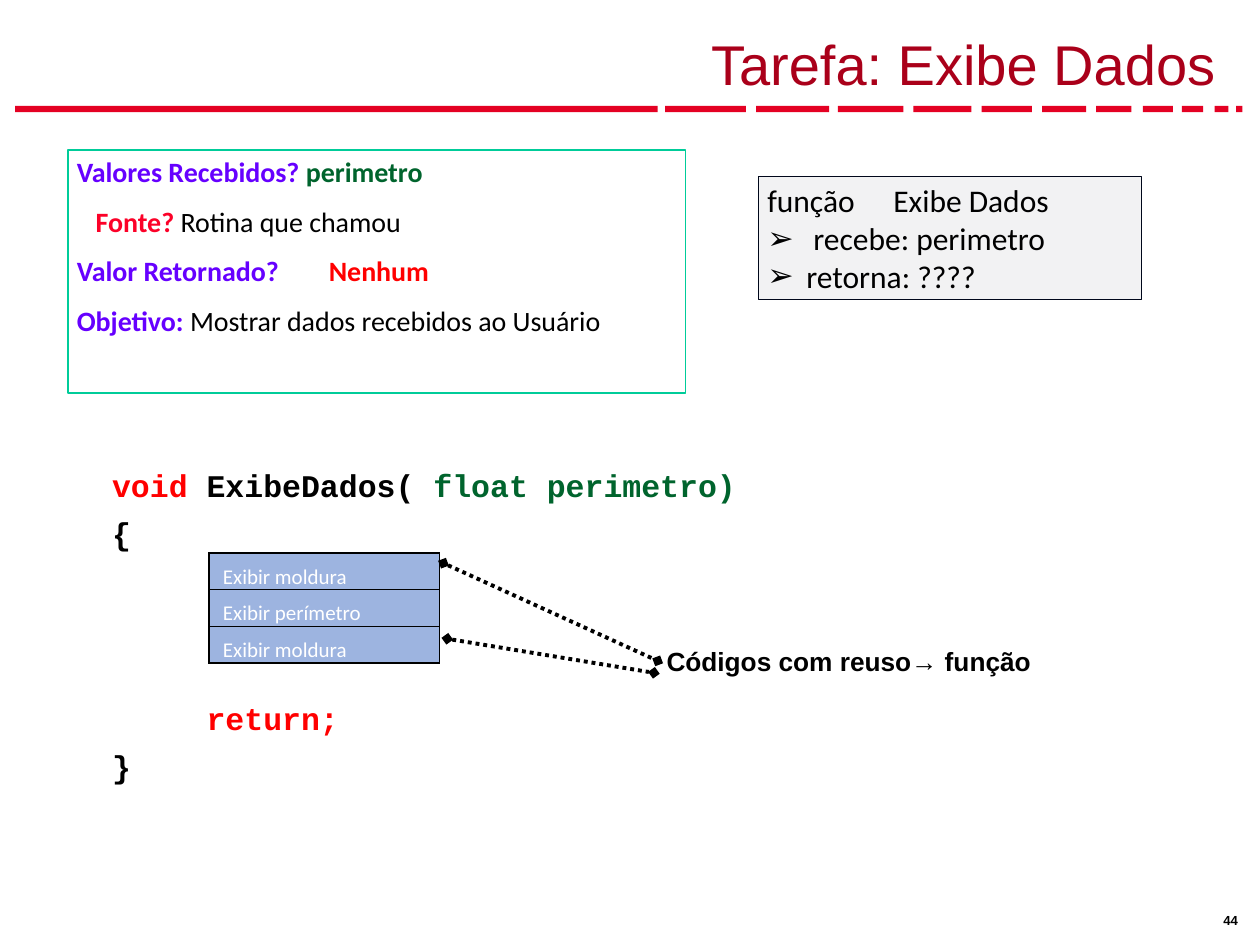
import pptx
import pptx.dml.color
import pptx.enum.dml
import pptx.enum.shapes
import pptx.enum.text
import pptx.oxml
import pptx.oxml.ns
import pptx.util
from lxml import etree
from pptx.util import Inches

BLACK, RED, GREEN, VIOLET = "000000", "FF0000", "00642D", "6600FF"


def color(hex_string):
    return pptx.dml.color.RGBColor.from_string(hex_string)


def write_text(frame, font, size, paragraphs, margin=0.08):
    """Each paragraph is (runs, options); each run is (text, colour, bold)."""
    frame.word_wrap = True
    frame.margin_left = frame.margin_right = Inches(margin)
    frame.margin_top = frame.margin_bottom = Inches(0.04)
    for index, (runs, options) in enumerate(paragraphs):
        paragraph = frame.add_paragraph() if index else frame.paragraphs[0]
        properties = paragraph._p.get_or_add_pPr()
        properties.set("marL", str(Inches(options.get("indent", 0))))
        properties.set("indent", str(Inches(-options.get("hanging", 0))))
        if "bullet" in options:
            bullet_color = etree.SubElement(properties, pptx.oxml.ns.qn("a:buClr"))
            etree.SubElement(bullet_color, pptx.oxml.ns.qn("a:srgbClr"), val=BLACK)
            etree.SubElement(properties, pptx.oxml.ns.qn("a:buFont"), typeface="Arial")
            etree.SubElement(properties, pptx.oxml.ns.qn("a:buChar"), char=options["bullet"])
        if "tab" in options:
            tabs = etree.SubElement(properties, pptx.oxml.ns.qn("a:tabLst"))
            etree.SubElement(tabs, pptx.oxml.ns.qn("a:tab"),
                             pos=str(Inches(options["tab"])), algn="l")
        paragraph.alignment = options.get("align", pptx.enum.text.PP_ALIGN.LEFT)
        if "before" in options:
            paragraph.space_before = pptx.util.Pt(options["before"])
        for text, hex_string, bold in runs:
            run = paragraph.add_run()
            run.text = text
            run.font.name = font
            run.font.size = pptx.util.Pt(size)
            run.font.bold = bold
            run.font.color.rgb = color(hex_string)


presentation = pptx.Presentation()
presentation.slide_width = Inches(10)
presentation.slide_height = Inches(7.5)
slide = presentation.slides.add_slide(presentation.slide_layouts[6])
shapes = slide.shapes

# Red rule broken into shrinking dashes
dashes = [(0.12, 5.1), (5.28, 0.64), (6, 0.58), (6.65, 0.52), (7.25, 0.46), (7.79, 0.4),
          (8.27, 0.35), (8.7, 0.28), (9.07, 0.24), (9.38, 0.17), (9.64, 0.11), (9.81, 0.05)]
for left, width in dashes:
    dash = shapes.add_shape(pptx.enum.shapes.MSO_SHAPE.RECTANGLE, Inches(left), Inches(0.84),
                            Inches(width), Inches(0.05))
    dash.shadow.inherit = False
    dash.fill.solid()
    dash.fill.fore_color.rgb = color("E40123")
    dash.line.fill.background()

# Slide number
number = shapes.add_textbox(Inches(9.63), Inches(7.2), Inches(0.33), Inches(0.2))
write_text(number.text_frame, "Arial", 7.5, [([("44", BLACK, True)], {})])

# Title
title = shapes.add_textbox(Inches(0.31), Inches(0.08), Inches(9.42), Inches(0.73))
title.text_frame.vertical_anchor = pptx.enum.text.MSO_ANCHOR.BOTTOM
write_text(title.text_frame, "Arial", 32, [
    ([("Tarefa: Exibe Dados", "AA001A", False)], {"align": pptx.enum.text.PP_ALIGN.RIGHT})])

# Code, with room for the table between the brace and the return
code = shapes.add_textbox(Inches(0.81), Inches(3.66), Inches(7.5), Inches(2.59))
write_text(code.text_frame, "Courier New", 18, [
    ([("void ", RED, True), ("ExibeDados( ", BLACK, True),
      ("float perimetro)", GREEN, True)], {}),
    ([("{", BLACK, True)], {"before": 5.8}),
    ([("return;", RED, True)], {"before": 84.2, "indent": 0.75}),
    ([("}", BLACK, True)], {"before": 5.8})])

# Table of steps
steps = ["Exibir moldura", "Exibir perímetro", "Exibir moldura"]
table_frame = shapes.add_table(len(steps), 2, Inches(1.66), Inches(4.39),
                               Inches(1.83), Inches(0.88))
table = table_frame.table
table.first_row = table.horz_banding = False
table.columns[0].width = Inches(0.87)
table.columns[1].width = Inches(0.96)
for row, step in enumerate(steps):
    table.rows[row].height = Inches(0.29)
    table.cell(row, 0).merge(table.cell(row, 1))
    write_text(table.cell(row, 0).text_frame, "Calibri", 12,
               [([(step, "FFFFFF", False)], {"indent": 0.11})])
    for column in range(2):
        cell = table.cell(row, column)
        cell.margin_left = cell.margin_right = cell.margin_bottom = 0
        cell.margin_top = Inches(0.09)
        cell_properties = cell._tc.get_or_add_tcPr()
        for side in ("lnL", "lnR", "lnT", "lnB"):
            cell_properties.append(pptx.oxml.parse_xml(
                f'<a:{side} {pptx.oxml.ns.nsdecls("a")} w="12700"><a:solidFill>'
                f'<a:srgbClr val="{BLACK}"/></a:solidFill></a:{side}>'))
        cell.fill.solid()
        cell.fill.fore_color.rgb = color("4471C4")
        fill_color = cell_properties.find("./" + pptx.oxml.ns.qn("a:solidFill") + "/*")
        etree.SubElement(fill_color, pptx.oxml.ns.qn("a:alpha"), val="52000")

# Framed panels: function summary and specification
bullet = {"bullet": "➢", "indent": 0.31, "hanging": 0.31}
panels = [
    ((6.02, 1.4, 3.04, 0.98), "00071A", 5, "00071A", 18, [
        ([("função\tExibe Dados", BLACK, False)], {"tab": 0.87}),
        ([(" recebe: perimetro", BLACK, False)], bullet),
        ([("retorna: ????", BLACK, False)], bullet)]),
    ((0.54, 1.19, 4.9, 1.93), "FFFFFF", 100, "00CC99", 16, [
        ([("Valores Recebidos? ", VIOLET, True), ("perimetro", GREEN, True)], {}),
        ([("Fonte?", "FC0128", True), (" Rotina que chamou", BLACK, False)],
         {"before": 9, "indent": 0.15}),
        ([("Valor Retornado?\t", VIOLET, True), ("Nenhum", RED, True)],
         {"before": 9, "tab": 1.71}),
        ([("Objetivo: ", VIOLET, True),
          ("Mostrar dados recebidos ao Usuário", BLACK, False)], {"before": 9})]),
]
for box, fill, opacity, outline, size, paragraphs in panels:
    panel = shapes.add_shape(pptx.enum.shapes.MSO_SHAPE.RECTANGLE, *map(Inches, box))
    panel.shadow.inherit = False
    panel.fill.solid()
    panel.fill.fore_color.rgb = color(fill)
    fill_color = panel._element.spPr.find("./" + pptx.oxml.ns.qn("a:solidFill") + "/*")
    etree.SubElement(fill_color, pptx.oxml.ns.qn("a:alpha"), val=str(opacity * 1000))
    panel.line.color.rgb = color(outline)
    panel.line.width = pptx.util.Pt(0.75)
    panel.text_frame.vertical_anchor = pptx.enum.text.MSO_ANCHOR.TOP
    write_text(panel.text_frame, "Calibri", size, paragraphs, margin=0.07)

# Reuse label
label = shapes.add_textbox(Inches(5.22), Inches(5.08), Inches(3.56), Inches(0.33))
write_text(label.text_frame, "Arial", 15,
           [([("Códigos com reuso→ função", BLACK, True)], {})], margin=0.07)

# Dotted lines from the repeated steps to the label
for start_x, start_y, end_x, end_y, joined in [(3.52, 4.47, 5.22, 5.27, True),
                                               (3.55, 5.07, 5.19, 5.34, False)]:
    connector = shapes.add_connector(pptx.enum.shapes.MSO_CONNECTOR.STRAIGHT, Inches(start_x),
                                     Inches(start_y), Inches(end_x), Inches(end_y))
    if joined:
        connector.end_connect(label, 1)
    connector.line.color.rgb = color(BLACK)
    connector.line.width = pptx.util.Pt(2.25)
    connector.line.dash_style = pptx.enum.dml.MSO_LINE.ROUND_DOT
    line = connector.line._get_or_add_ln()
    for end in ("a:headEnd", "a:tailEnd"):
        etree.SubElement(line, pptx.oxml.ns.qn(end), type="diamond")
    etree.SubElement(connector._element.spPr, pptx.oxml.ns.qn("a:effectLst"))

presentation.save("out.pptx")
